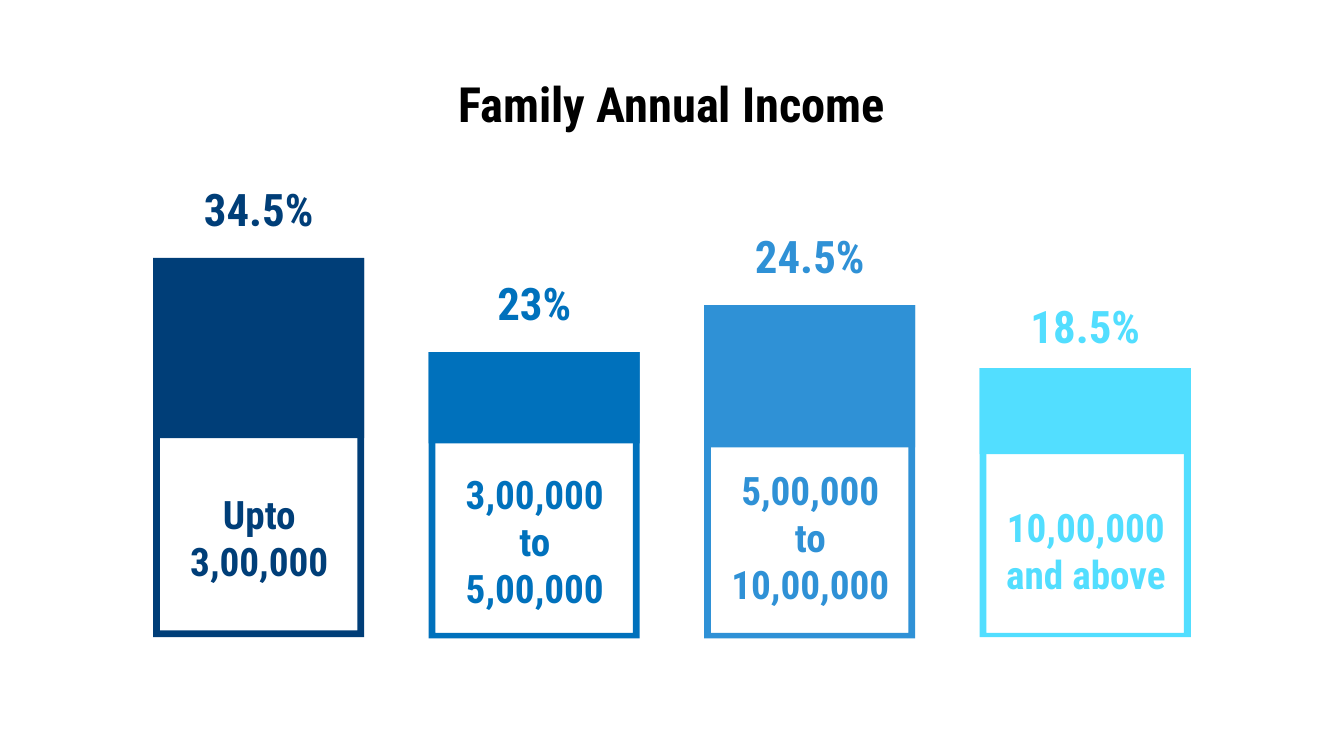
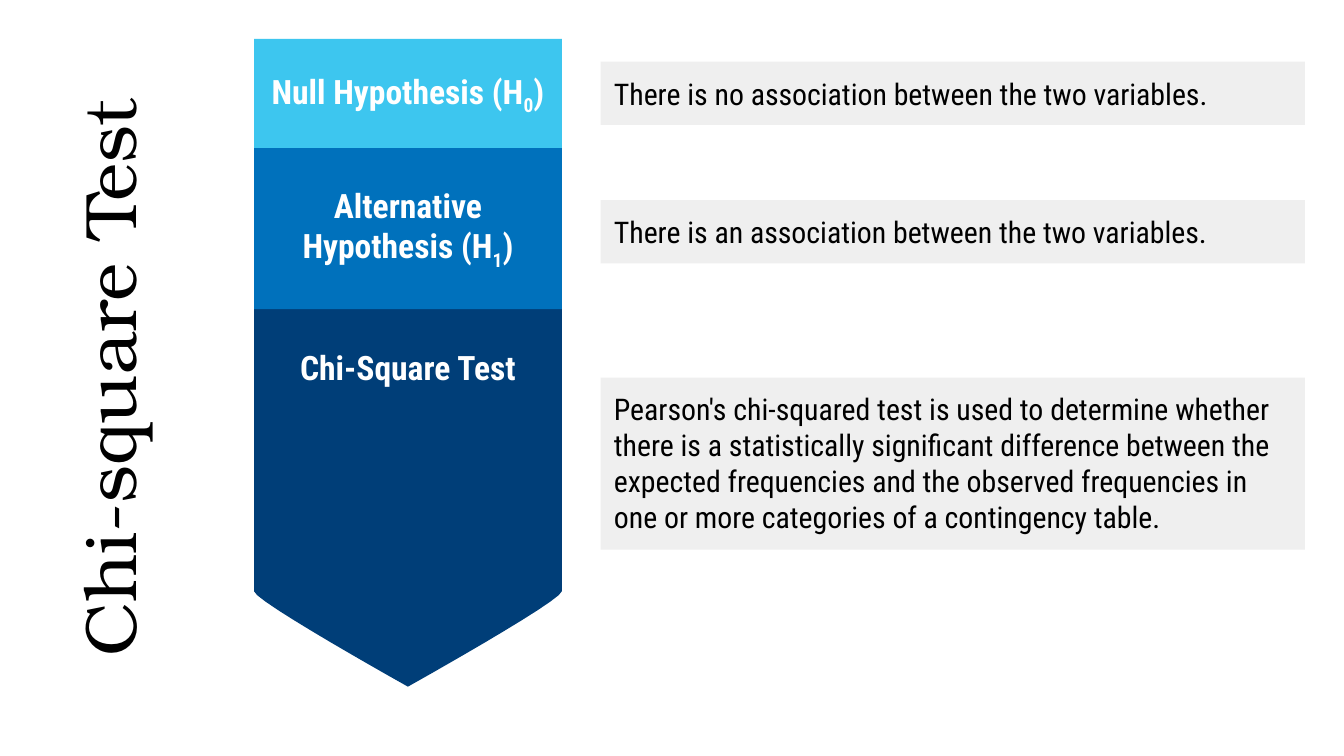
import dataclasses

import pptx
import pptx.dml.color
import pptx.enum.shapes
import pptx.enum.text
import pptx.util

Inches = pptx.util.Inches
RECTANGLE = pptx.enum.shapes.MSO_SHAPE.RECTANGLE
ANCHOR = pptx.enum.text.MSO_ANCHOR
ALIGN = pptx.enum.text.PP_ALIGN


@dataclasses.dataclass(frozen=True)
class Theme:
    font: str = "Roboto Condensed"
    serif: str = "TeX Gyre Bonum"
    black: str = "000000"
    white: str = "FFFFFF"
    navy: str = "003E78"
    blue: str = "0071BC"
    sky: str = "2F91D6"
    aqua: str = "52DEFF"
    cyan: str = "3DC6EF"
    grey: str = "EFEFEF"
    side_title_size: int = 39
    title_size: int = 26
    percent_size: int = 24
    label_size: int = 21
    band_size: int = 18
    body_size: int = 16


theme = Theme()


def paint(shape, color):
    shape.shadow.inherit = False
    shape.fill.solid()
    shape.fill.fore_color.rgb = pptx.dml.color.RGBColor.from_string(color)
    shape.line.fill.background()


def write(box, text, size, color, bold=True, font=theme.font,
          align=ALIGN.CENTER, anchor=ANCHOR.MIDDLE):
    """Write one paragraph; parts between underscores become subscripts."""
    frame = box.text_frame
    frame.word_wrap = True
    frame.vertical_anchor = anchor
    frame.margin_left = frame.margin_right = Inches(0.1)
    frame.margin_top = frame.margin_bottom = Inches(0.1)
    para = frame.paragraphs[0]
    para.alignment = align
    for index, part in enumerate(text.split("_")):
        span = para.add_run()
        span.text = part
        span.font.name = font
        span.font.size = pptx.util.Pt(size)
        span.font.bold = bold
        span.font.color.rgb = pptx.dml.color.RGBColor.from_string(color)
        if index % 2:
            span.font._element.set("baseline", "-25000")


deck = pptx.Presentation()
deck.slide_width = Inches(10)
deck.slide_height = deck.slide_width * 9 // 16
blank = deck.slide_layouts[6]

# Slide 1: income bars
page = deck.slides.add_slide(blank)
bar_width, bar_step, border = 1.57, 2.05, 0.05
# percent, income range, color, bar top, block bottom, hole bottom,
# bar bottom, percent top, label top, label height
bars = [
    ("34.5%", "Upto 3,00,000", theme.navy, 1.92, 3.26, 4.69, 4.74, 1.19, 3.26, 1.48),
    ("23%", "3,00,000 to 5,00,000", theme.blue, 2.62, 3.3, 4.71, 4.75, 1.89, 3.31, 1.43),
    ("24.5%", "5,00,000 to 10,00,000", theme.sky, 2.27, 3.33, 4.71, 4.75, 1.54, 3.32, 1.35),
    ("18.5%", "10,00,000 and above", theme.aqua, 2.74, 3.38, 4.71, 4.74, 2.06, 3.42, 1.35),
]
for index, (percent, income, color, top, block_bottom, hole_bottom,
            bottom, percent_top, label_top, label_height) in enumerate(bars):
    left = 1.14 + index * bar_step
    right = left + bar_width
    hole_left, hole_right, hole_top = left + border, right - border, top + border

    outline = page.shapes.build_freeform(Inches(left), Inches(top), scale=1.0)
    outline.add_line_segments([(Inches(x), Inches(y)) for x, y in
                               [(right, top), (right, bottom), (left, bottom)]])
    outline.move_to(Inches(hole_left), Inches(hole_top))
    outline.add_line_segments([(Inches(x), Inches(y)) for x, y in
                               [(hole_left, hole_bottom), (hole_right, hole_bottom),
                                (hole_right, hole_top)]])
    paint(outline.convert_to_shape(), color)

    block = page.shapes.add_shape(RECTANGLE, Inches(left), Inches(top),
                                  Inches(bar_width), Inches(block_bottom - top))
    paint(block, color)

    box = page.shapes.add_textbox(Inches(left + 0.14), Inches(percent_top),
                                  Inches(1.29), Inches(0.73))
    write(box, percent, theme.percent_size, color)
    box = page.shapes.add_textbox(Inches(left + 0.06), Inches(label_top),
                                  Inches(1.46), Inches(label_height))
    write(box, income, theme.label_size, color)

title = page.shapes.add_textbox(Inches(0.5), Inches(0.45), Inches(9), Inches(0.54))
write(title, "Family Annual Income", theme.title_size, theme.black, anchor=ANCHOR.TOP)

# Slide 2: hypotheses and test
page = deck.slides.add_slide(blank)
title = page.shapes.add_textbox(Inches(-1.77), Inches(2.35), Inches(5.04), Inches(0.92))
title.rotation = 270
write(title, "Chi-square Test", theme.side_title_size, theme.black,
      bold=False, font=theme.serif)
title.text_frame.margin_bottom = 0

band_left, band_width = 1.89, 2.29
band_right = band_left + band_width
middle = band_left + band_width / 2
arrow_top, shoulder, bend, tip = 0.35, 4.4, 4.47, 5.11

# Cubic curve from the left shoulder to the tip, mirrored for the right side
left_curve = []
for step in range(13):
    t = step / 12
    to_tip = 3 * (1 - t) * t ** 2 + t ** 3
    left_curve.append((band_left + (middle - band_left) * to_tip,
                       shoulder * (1 - t) ** 3 + 3 * bend * (1 - t) ** 2 * t + tip * to_tip))
right_curve = [(band_left + band_right - x, y) for x, y in reversed(left_curve[:-1])]
outline = page.shapes.build_freeform(Inches(band_left), Inches(arrow_top), scale=1.0)
outline.add_line_segments([(Inches(x), Inches(y)) for x, y in
                           left_curve + right_curve + [(band_right, arrow_top)]])
arrow = outline.convert_to_shape()
paint(arrow, theme.navy)
write(arrow, "Chi-Square Test", theme.band_size, theme.white)

for text, color, top, height in [
    ("Alternative Hypothesis (H_1_)", theme.blue, 1.09, 1.21),
    ("Null Hypothesis (H_0_)", theme.cyan, 0.29, 0.81),
]:
    band = page.shapes.add_shape(RECTANGLE, Inches(band_left), Inches(top),
                                 Inches(band_width), Inches(height))
    paint(band, color)
    write(band, text, theme.band_size, theme.white)

for text, top, height in [
    ("There is no association between the two variables.", 0.46, 0.47),
    ("There is an association between the two variables.", 1.49, 0.47),
    ("Pearson's chi-squared test is used to determine whether there is a "
     "statistically significant difference between the expected frequencies and "
     "the observed frequencies in one or more categories of a contingency table.",
     2.81, 1.28),
]:
    note = page.shapes.add_shape(RECTANGLE, Inches(4.47), Inches(top),
                                 Inches(5.24), Inches(height))
    paint(note, theme.grey)
    write(note, text, theme.body_size, theme.black, bold=False,
          align=ALIGN.LEFT, anchor=ANCHOR.TOP)
    note.text_frame.auto_size = pptx.enum.text.MSO_AUTO_SIZE.SHAPE_TO_FIT_TEXT

deck.save("out.pptx")
